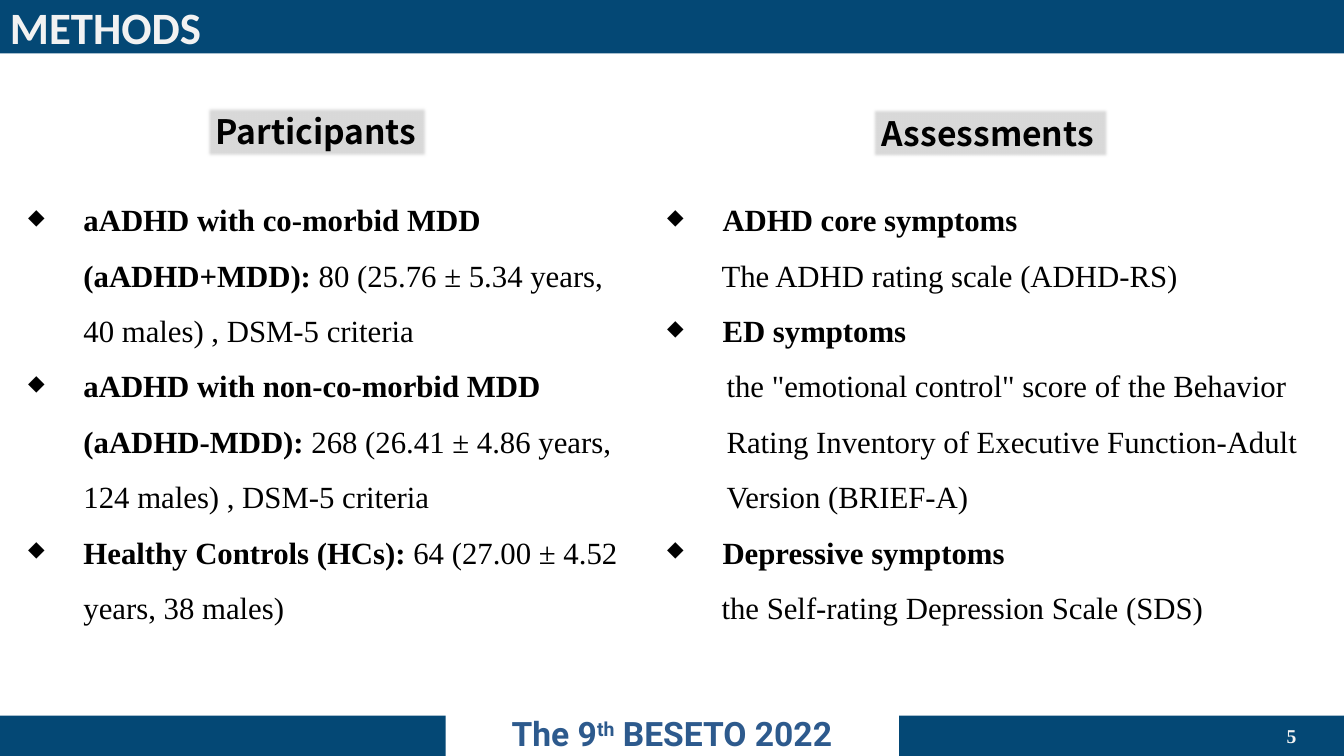
from lxml.etree import SubElement
from pptx import Presentation
from pptx.dml.color import RGBColor
from pptx.enum.shapes import MSO_SHAPE
from pptx.enum.text import MSO_ANCHOR, MSO_AUTO_SIZE, PP_ALIGN
from pptx.oxml.ns import qn
from pptx.util import Emu, Inches, Pt

NAVY = RGBColor(0x04, 0x48, 0x75)
BLUE = RGBColor(0x2D, 0x5A, 0x8D)
GREY = RGBColor(0xD9, 0xD9, 0xD9)
PALE = RGBColor(0xF2, 0xF2, 0xF2)
BLACK = RGBColor(0, 0, 0)

WIDTH, HEIGHT = Inches(13.333), Inches(7.5)
SERIF = "Times New Roman"
BULLET_INDENT = 0.55

PARTICIPANTS = [
    ("aADHD with co-morbid MDD (aADHD+MDD): ",
     "80 (25.76 ± 5.34 years, 40 males) , DSM-5 criteria"),
    ("aADHD with non-co-morbid MDD (aADHD-MDD): ",
     "268 (26.41 ± 4.86 years, 124 males) , DSM-5 criteria"),
    ("Healthy Controls (HCs): ", "64 (27.00 ± 4.52 years, 38 males)"),
]
ASSESSMENTS = [
    ("ADHD core symptoms", "The ADHD rating scale (ADHD-RS)", 0.54),
    ("ED symptoms",
     'the "emotional control" score of the Behavior Rating Inventory of '
     "Executive Function-Adult Version (BRIEF-A)", 0.59),
    ("Depressive symptoms", "the Self-rating Depression Scale (SDS)", 0.54),
]


def place(x, y, w, h):
    """Turn percentages of the slide's size into a left, top, width, height."""
    return [Emu(round(share * side / 100))
            for share, side in zip((x, y, w, h), (WIDTH, HEIGHT) * 2)]


def style(r, name, size, color, bold=True):
    """Set the font of one run."""
    r.font.name, r.font.size, r.font.bold = name, Pt(size), bold
    r.font.color.rgb = color


def add_bar(s, area, color):
    """Add a plain filled rectangle."""
    sp = s.shapes.add_shape(MSO_SHAPE.RECTANGLE, *place(*area))
    sp.shadow.inherit = False
    sp.fill.solid()
    sp.fill.fore_color.rgb = color
    sp.line.fill.background()
    return sp


def add_text_box(s, area):
    """Add a wrapping text box and return its text frame."""
    tf = s.shapes.add_textbox(*place(*area)).text_frame
    tf.word_wrap = True
    return tf


def write_line(tf, text, name, size, color, align=PP_ALIGN.LEFT):
    """Write one bold line and return its paragraph."""
    tf.text = text
    p = tf.paragraphs[0]
    p.alignment = align
    style(p.runs[0], name, size, color)
    return p


def add_heading(s, area, text):
    """Add a column heading on a soft-edged grey plate."""
    sp = add_bar(s, area, GREY)
    effects = sp.element.spPr.find(qn("a:effectLst"))
    SubElement(effects, qn("a:softEdge"), rad=str(Pt(2.5)))
    tf = sp.text_frame
    tf.vertical_anchor = MSO_ANCHOR.TOP
    tf.auto_size = MSO_AUTO_SIZE.SHAPE_TO_FIT_TEXT
    tf.word_wrap = False
    write_line(tf, text, "Noto Sans CJK SC", 24, BLACK)


def add_paragraph(tf, text, bold, indent, bullet=False):
    """Add a body paragraph, with a diamond bullet when asked."""
    p = tf.add_paragraph() if tf.text else tf.paragraphs[0]
    pPr = p._p.get_or_add_pPr()
    pPr.set("marL", str(Inches(indent)))
    if bullet:
        pPr.set("indent", str(-Inches(indent)))
        SubElement(pPr, qn("a:buSzPct"), val="70000")
        SubElement(pPr, qn("a:buChar"), char="◆")
    p.line_spacing = 1.5
    p.text = text
    style(p.runs[0], SERIF, 22, BLACK, bold)
    return p


def add_participants(s, area):
    """List the groups, each with its details on the same line."""
    tf = add_text_box(s, area)
    for group, details in PARTICIPANTS:
        p = add_paragraph(tf, group, True, BULLET_INDENT, bullet=True)
        r = p.add_run()
        r.text = details
        style(r, SERIF, 22, BLACK, bold=False)


def add_assessments(s, area):
    """List the symptoms, each with its scale in a paragraph below."""
    tf = add_text_box(s, area)
    for symptom, scale, indent in ASSESSMENTS:
        add_paragraph(tf, symptom, True, BULLET_INDENT, bullet=True)
        add_paragraph(tf, scale, False, indent)


def add_footer(s):
    """Add the two footer bars, the conference name and the page number."""
    for x, w in ((0, 33.15), (66.9, 33.1)):
        add_bar(s, (x, 94.67, w, 5.33), NAVY)
    tf = add_text_box(s, (74.7, 94.67, 22.5, 5.33))
    tf.vertical_anchor = MSO_ANCHOR.MIDDLE
    write_line(tf, "5", SERIF, 14, PALE, PP_ALIGN.RIGHT)
    tf = add_text_box(s, (25.28, 93.07, 49.43, 7.73))
    tf.margin_left = tf.margin_right = Inches(0.18)
    tf.margin_top = tf.margin_bottom = Inches(0.09)
    p = write_line(tf, "The 9", "Roboto", 24, BLUE, PP_ALIGN.CENTER)
    for text, baseline in (("th", 30000), (" BESETO 2022", 0)):
        r = p.add_run()
        r.text = text
        style(r, "Roboto", 24, BLUE)
        r.font._element.set("baseline", str(baseline))


def main():
    """Build the methods slide."""
    prs = Presentation()
    prs.slide_width, prs.slide_height = WIDTH, HEIGHT
    s = prs.slides.add_slide(prs.slide_layouts[6])
    add_footer(s)
    add_bar(s, (0, 0, 100, 7.07), NAVY)
    add_participants(s, (1.35, 23.47, 45.98, 59.73))
    add_assessments(s, (48.9, 23.47, 49.65, 59.73))
    add_heading(s, (15.3, 14, 16.57, 6.93), "Participants")
    add_heading(s, (64.88, 14.27, 17.7, 6.67), "Assessments")
    title = add_text_box(s, (0, -0.67, 32.93, 8.53))
    write_line(title, "METHODS", "Calibri", 32, PALE)
    prs.save("out.pptx")


if __name__ == "__main__":
    main()
